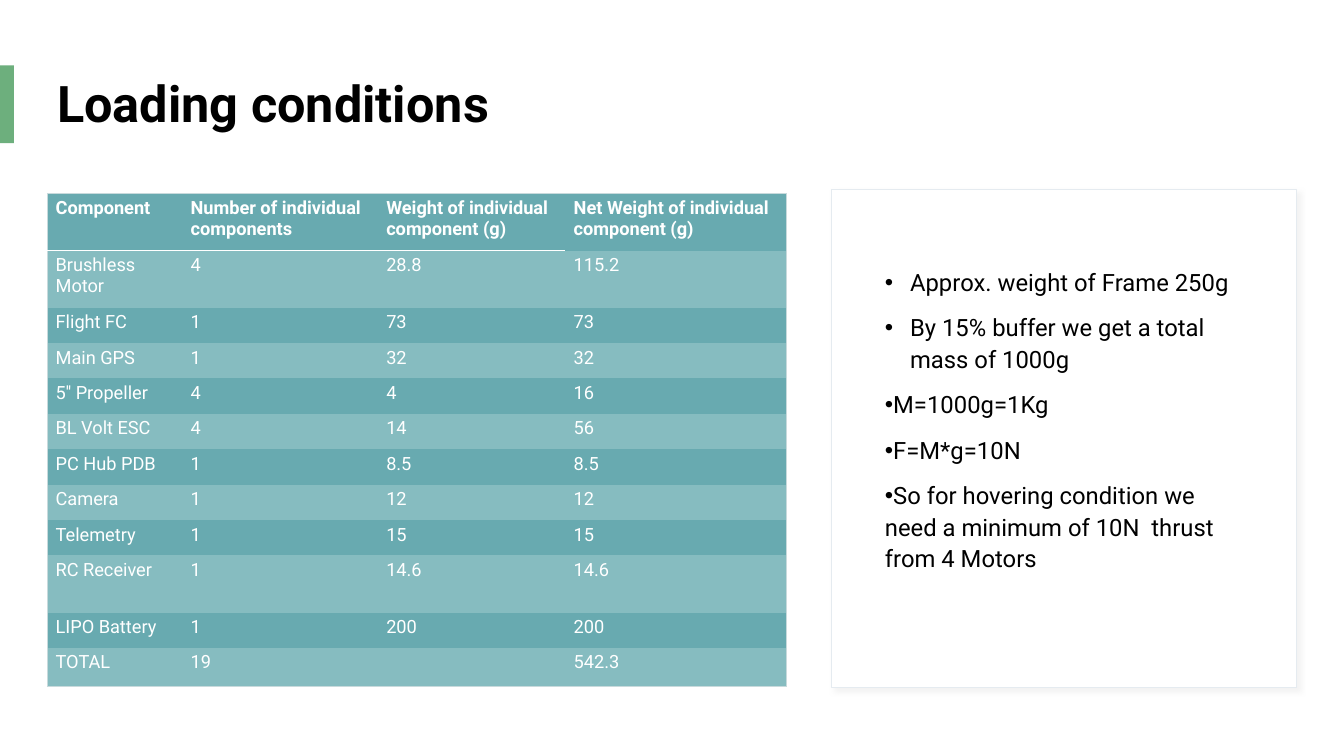
import pptx
import pptx.util
import pptx.dml.color
import pptx.enum.shapes
import pptx.enum.text
import pptx.oxml
import pptx.oxml.ns

Pt = pptx.util.Pt
NAMESPACE = pptx.oxml.ns.nsdecls("a")


def color(value):
    return pptx.dml.color.RGBColor.from_string(value)


def write(paragraph, text, size, fill="000000", bold=False, line_spacing=1.0, space_before=0):
    paragraph.line_spacing = line_spacing
    paragraph.space_before = Pt(space_before)
    run = paragraph.add_run()
    run.text = text
    run.font.name = "Roboto"
    run.font.size = Pt(size)
    run.font.bold = bold
    run.font.color.rgb = color(fill)


presentation = pptx.Presentation()
presentation.slide_width = Pt(960)
presentation.slide_height = Pt(540)
slide = presentation.slides.add_slide(presentation.slide_layouts[6])
rectangle = pptx.enum.shapes.MSO_SHAPE.RECTANGLE
middle = pptx.enum.text.MSO_ANCHOR.MIDDLE

title = slide.shapes.add_textbox(Pt(33.8), Pt(32.4), Pt(882), Pt(87))
title.text_frame.word_wrap = True
title.text_frame.vertical_anchor = middle
write(title.text_frame.paragraphs[0], "Loading conditions", 36, bold=True, line_spacing=0.9)

accent = slide.shapes.add_shape(rectangle, Pt(0), Pt(46.8), Pt(10), Pt(55.5))
accent.shadow.inherit = False
accent.fill.solid()
accent.fill.fore_color.rgb = color("6DAF7D")
accent.line.fill.background()

card = slide.shapes.add_shape(rectangle, Pt(594), Pt(135.4), Pt(332), Pt(355.7))
card.shadow.inherit = False
card.fill.solid()
card.fill.fore_color.rgb = color("FFFFFF")
card.line.color.rgb = color("E5EBF0")
card.line.width = Pt(0.75)
card_effects = card._element.spPr.find(pptx.oxml.ns.qn("a:effectLst"))
card_effects.append(pptx.oxml.parse_xml(
    f'<a:outerShdw {NAMESPACE} blurRad="{Pt(4)}" dist="{Pt(3)}" dir="2700000">'
    '<a:srgbClr val="D9D9D9"><a:alpha val="30000"/></a:srgbClr></a:outerShdw>'))

notes = [
    ("Approx. weight of Frame 250g", 18),
    ("By 15% buffer we get a total mass of 1000g", 18),
    ("M=1000g=1Kg", 0),
    ("F=M*g=10N", 0),
    ("So for hovering condition we need a minimum of 10N  thrust from 4 Motors", 0),
]
body = slide.shapes.add_textbox(Pt(625), Pt(159), Pt(272), Pt(312))
frame = body.text_frame
frame.word_wrap = True
frame.vertical_anchor = middle
frame.margin_bottom = Pt(35.6)
for index, (text, indent) in enumerate(notes):
    paragraph = frame.add_paragraph() if index else frame.paragraphs[0]
    write(paragraph, text, 17, line_spacing=1.1, space_before=10)
    properties = paragraph._p.get_or_add_pPr()
    properties.set("marL", str(Pt(indent)))
    properties.set("indent", str(Pt(-18)))
    properties.append(pptx.oxml.parse_xml(f'<a:buFont {NAMESPACE} typeface="Arial"/>'))
    properties.append(pptx.oxml.parse_xml(f'<a:buChar {NAMESPACE} char="•"/>'))

rows = [
    ("Component", "Number of individual components",
     "Weight of individual component (g)", "Net Weight of individual component (g)"),
    ("Brushless Motor", "4", "28.8", "115.2"),
    ("Flight FC", "1", "73", "73"),
    ("Main GPS", "1", "32", "32"),
    ("5'' Propeller", "4", "4", "16"),
    ("BL Volt ESC", "4", "14", "56"),
    ("PC Hub PDB", "1", "8.5", "8.5"),
    ("Camera", "1", "12", "12"),
    ("Telemetry", "1", "15", "15"),
    ("RC Receiver", "1", "14.6", "14.6"),
    ("LIPO Battery", "1", "200", "200"),
    ("TOTAL", "19", "", "542.3"),
]
column_widths = [96.4, 139.8, 133.9, 157.7]
tall_rows = {0, 1, 9}
last_row = len(rows) - 1
last_column = len(column_widths) - 1

table = slide.shapes.add_table(len(rows), len(column_widths), Pt(33.8), Pt(138.2),
                               Pt(sum(column_widths)), Pt(350)).table
table._tbl.tblPr.find(pptx.oxml.ns.qn("a:tableStyleId")).text = "{2D5ABB26-0587-4C30-8999-92F81FD0307C}"
for column, width in zip(table.columns, column_widths):
    column.width = Pt(width)

for row_index, values in enumerate(rows):
    table.rows[row_index].height = Pt(40.8 if row_index in tall_rows else 25.3)
    for column_index, value in enumerate(values):
        cell = table.cell(row_index, column_index)
        cell.margin_left = cell.margin_right = Pt(6)
        cell.margin_top = cell.margin_bottom = Pt(3)
        write(cell.text_frame.paragraphs[0], value, 13, fill="FFFFFF", bold=row_index == 0)
        borders = [
            ("lnL", column_index == 0, "C8DADC", 0.5),
            ("lnR", column_index == last_column, "C8DADC", 0.5),
            ("lnT", row_index == 0, "C8DADC", 0.5),
            ("lnB", row_index == 0 and column_index < last_column, "FFFFFF", 1.5),
            ("lnB", row_index == last_row, "C8DADC", 0.5),
        ]
        for side, visible, line_color, width in borders:
            if visible:
                cell._tc.get_or_add_tcPr().append(pptx.oxml.parse_xml(
                    f'<a:{side} {NAMESPACE} w="{Pt(width)}"><a:solidFill>'
                    f'<a:srgbClr val="{line_color}"/></a:solidFill></a:{side}>'))
        cell.fill.solid()
        cell.fill.fore_color.rgb = color("86BCC0" if row_index % 2 else "68AAB0")

presentation.save("out.pptx")
